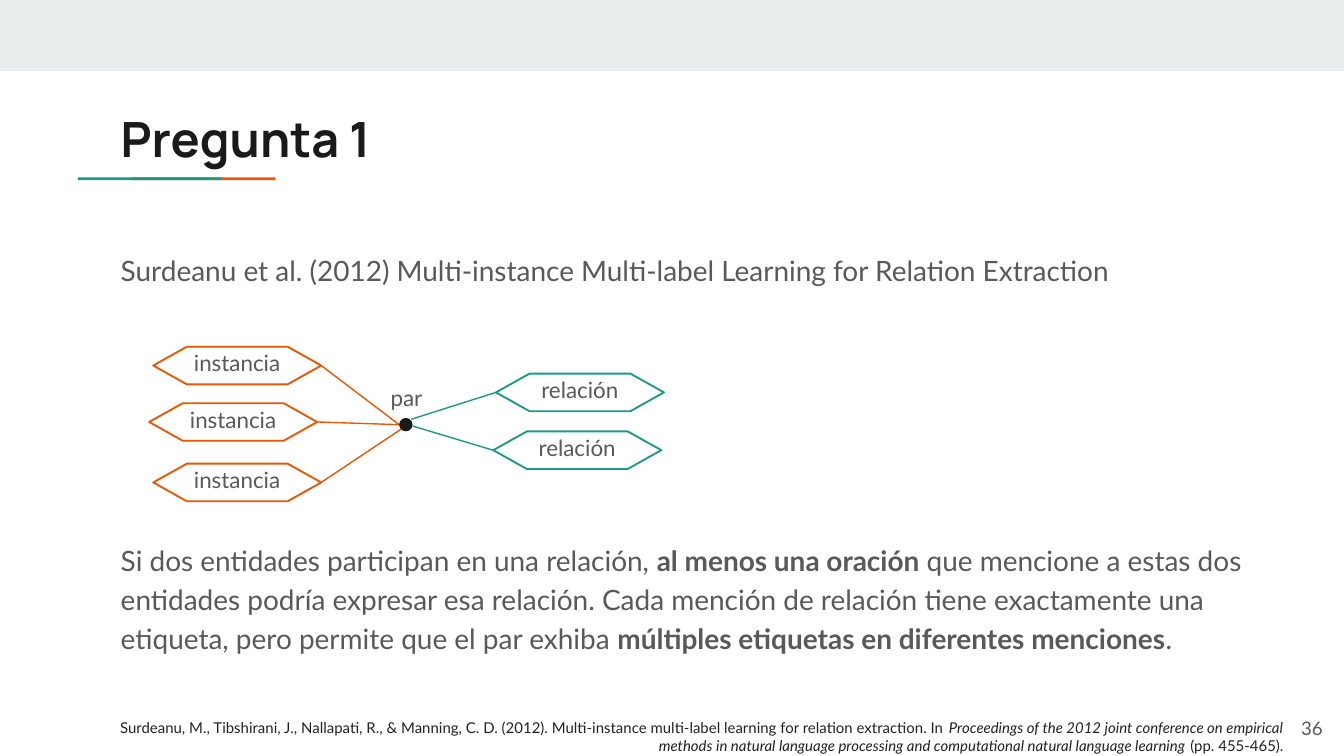
from lxml.etree import SubElement
from pptx import Presentation
from pptx.dml.color import RGBColor
from pptx.enum.shapes import MSO_CONNECTOR, MSO_SHAPE
from pptx.enum.text import MSO_ANCHOR, PP_ALIGN
from pptx.oxml.ns import qn
from pptx.util import Inches, Pt

INK = RGBColor(0x1A, 0x1A, 0x1A)
GRAY = RGBColor(0x59, 0x59, 0x59)
DARK = RGBColor(0x22, 0x22, 0x22)
PALE = RGBColor(0xE9, 0xED, 0xEE)
ORANGE = RGBColor(0xEB, 0x56, 0x00)
TEAL = RGBColor(0x1A, 0x99, 0x88)

TITLE = "Pregunta 1"
PAPER = "Surdeanu et al. (2012) Multi-instance Multi-label Learning for Relation Extraction"
CLAIM = [
    ("Si dos entidades participan en una relación, ", ""),
    ("al menos una oración ", "b"),
    ("que mencione a estas dos entidades podría expresar esa relación. "
     "Cada mención de relación tiene exactamente una etiqueta, "
     "pero permite que el par exhiba ", ""),
    ("múltiples etiquetas en diferentes menciones", "b"),
    (".", ""),
]
CITE = [
    ("Surdeanu, M., Tibshirani, J., Nallapati, R., & Manning, C. D. (2012). "
     "Multi-instance multi-label learning for relation extraction. In ", ""),
    ("Proceedings of the 2012 joint conference on empirical methods in "
     "natural language processing and computational natural language learning", "i"),
    (" (pp. 455-465).", ""),
]
NODES = [
    ("instancia", 1.14, 2.58, ORANGE, (2.97, 3.16)),
    ("instancia", 1.11, 3.00, ORANGE, (2.97, 3.16)),
    ("instancia", 1.14, 3.45, ORANGE, (2.99, 3.19)),
    ("relación", 3.69, 2.78, TEAL, (3.06, 3.12)),
    ("relación", 3.67, 3.21, TEAL, (3.07, 3.17)),
]
NODE_W, NODE_H = 1.25, 0.28
TAG_W, TAG_H = 0.87, 0.3

deck = Presentation()
deck.slide_width = Inches(10)
deck.slide_height = Inches(10 * 9 / 16)
slide = deck.slides.add_slide(deck.slide_layouts[6])
shapes = slide.shapes


def add_text(text, x, y, w, h, size=12, font="Lato", color=GRAY, bold=False,
             align=PP_ALIGN.LEFT, anchor=MSO_ANCHOR.TOP, pad=0.1, space=1):
    frame = shapes.add_textbox(Inches(x), Inches(y), Inches(w), Inches(h)).text_frame
    frame.word_wrap = True
    frame.vertical_anchor = anchor
    frame.margin_top = frame.margin_bottom = Inches(pad)
    para = frame.paragraphs[0]
    para.alignment, para.line_spacing = align, space
    for part, style in [(text, "")] if isinstance(text, str) else text:
        run = para.add_run()
        run.text = part
        face = run.font
        face.name, face.size = font, Pt(size)
        face.color.rgb = color
        face.bold, face.italic = bold or style == "b", style == "i"


def add_form(kind, x, y, w, h, fill=None, line=None):
    form = shapes.add_shape(kind, Inches(x), Inches(y), Inches(w), Inches(h))
    form.shadow.inherit = False
    if fill is None:
        form.fill.background()
    else:
        form.fill.solid()
        form.fill.fore_color.rgb = fill
    if line is None:
        form.line.fill.background()
    else:
        form.line.color.rgb = line
        form.line.width = Pt(1)


def add_line(start, end, color):
    points = [Inches(n) for n in (*start, *end)]
    link = shapes.add_connector(MSO_CONNECTOR.STRAIGHT, *points)
    link.line.color.rgb = color
    link.line.width = Pt(0.75)
    SubElement(link._element.spPr, qn("a:effectLst"))


add_form(MSO_SHAPE.RECTANGLE, 0, 0, 10, 0.53, fill=PALE)
for x, color in ((0.98, ORANGE), (0.58, TEAL)):
    add_form(MSO_SHAPE.RECTANGLE, x, 1.32, 1.07, 0.02, fill=color)

add_text(TITLE, 0.8, 0.71, 8.41, 0.59, size=26, font="Manrope", color=INK, bold=True)
add_text(PAPER, 0.8, 1.75, 8.68, 0.5, size=15, space=1.15)
add_text(CLAIM, 0.8, 3.91, 8.68, 1.1, size=15, space=1.15)

for label, x, y, color, end in NODES:
    side = x + NODE_W if x < end[0] else x
    add_line((side, y + NODE_H / 2), end, color)
    add_form(MSO_SHAPE.FLOWCHART_PREPARATION, x, y, NODE_W, NODE_H, line=color)
    add_text(label, x + (NODE_W - TAG_W) / 2, y - 0.03, TAG_W, TAG_H,
             align=PP_ALIGN.CENTER, pad=0.05)
add_form(MSO_SHAPE.FLOWCHART_CONNECTOR, 2.97, 3.11, 0.1, 0.1, fill=INK)
add_text("par", 2.59, 2.81, TAG_W, TAG_H, align=PP_ALIGN.CENTER, pad=0.05)

add_text("36", 9.34, 5.2, 0.6, 0.43, size=10, align=PP_ALIGN.RIGHT,
         anchor=MSO_ANCHOR.MIDDLE)
add_text(CITE, 0.67, 5.3, 8.98, 0.32, size=8, color=DARK,
         align=PP_ALIGN.RIGHT, pad=0.05)

deck.save("out.pptx")
